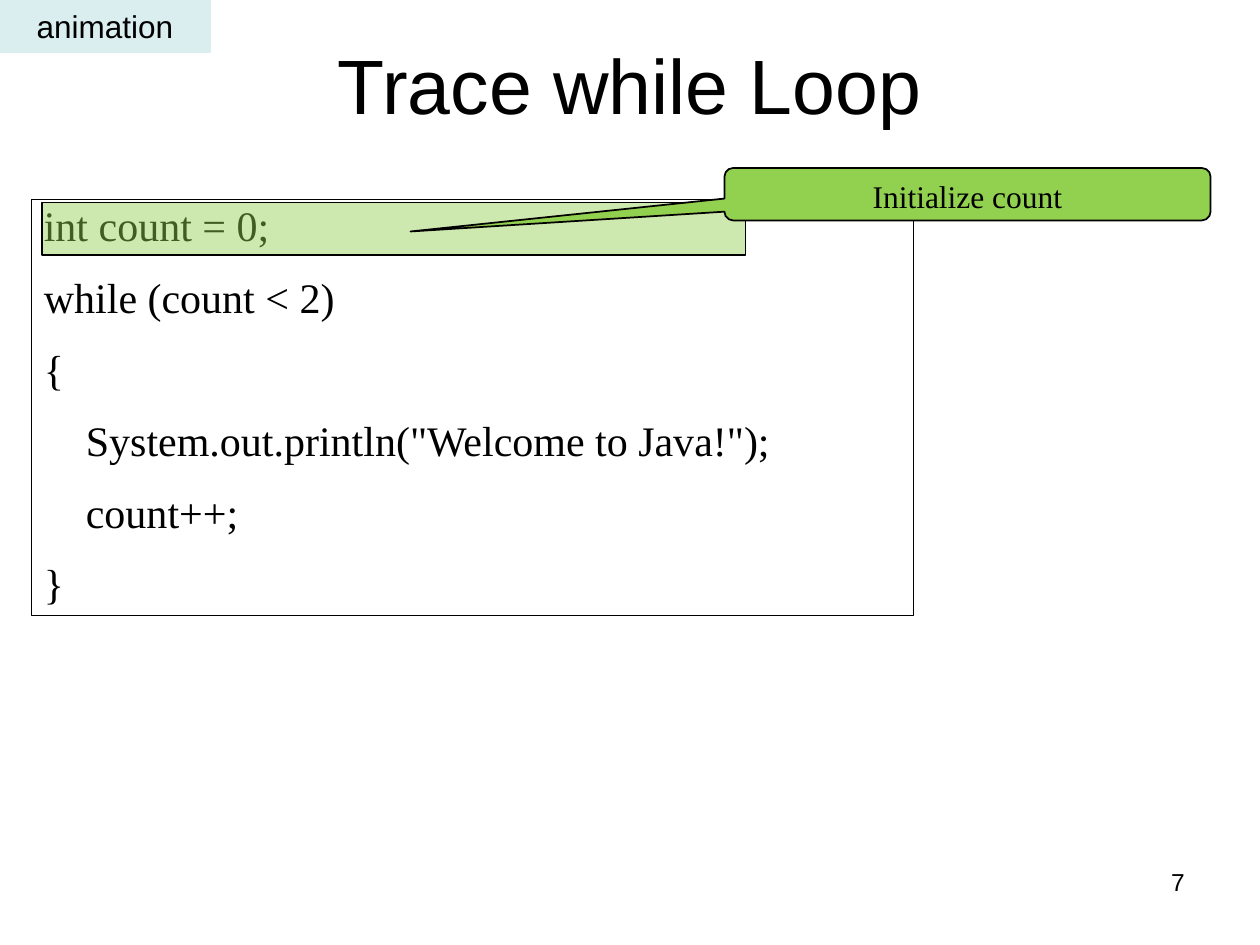
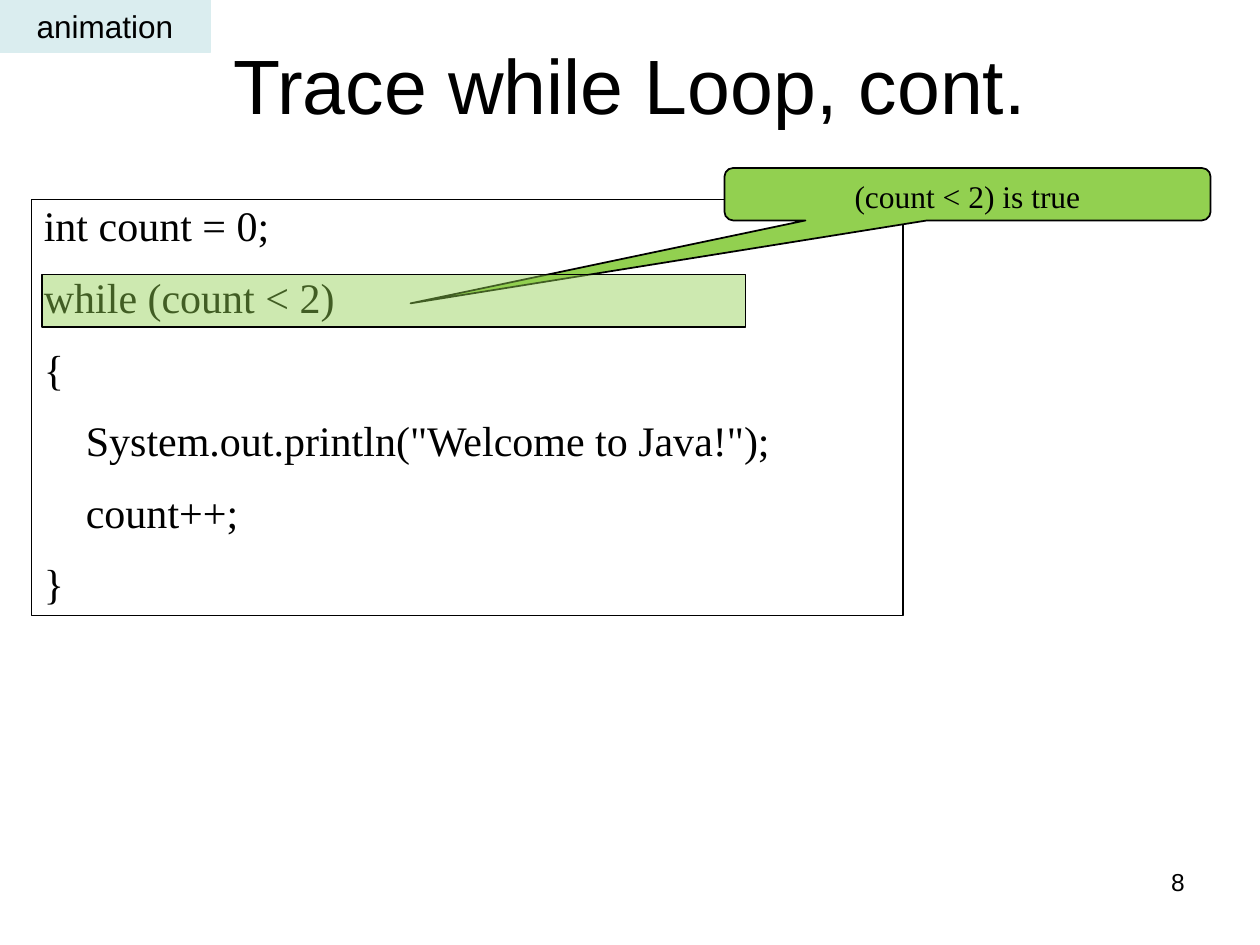
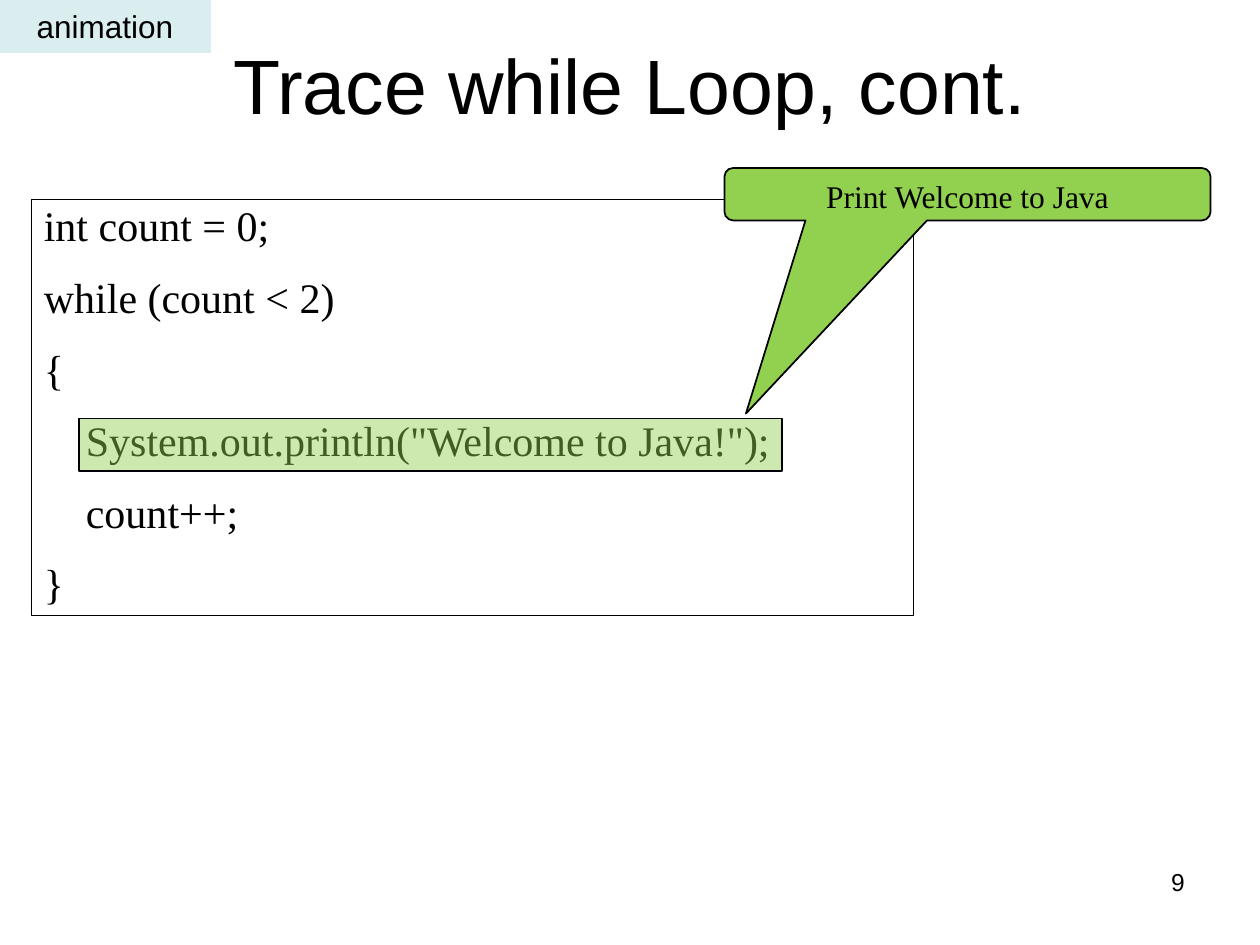
from lxml import etree
from pptx import Presentation
from pptx.dml.color import RGBColor
from pptx.enum.shapes import MSO_SHAPE
from pptx.enum.text import MSO_ANCHOR, MSO_AUTO_SIZE, PP_ALIGN
from pptx.oxml.ns import qn
from pptx.util import Inches, Pt

BLACK = RGBColor(0x00, 0x00, 0x00)
GREEN = RGBColor(0x92, 0xD0, 0x50)
PALE_BLUE = RGBColor(0xDA, 0xED, 0xEF)

SANS, SERIF = "Arial", "Times New Roman"

# The slide is a grid of 120 by 90 cells
SLIDE_WIDTH, SLIDE_HEIGHT = Inches(10), Inches(7.5)
CELL = SLIDE_WIDTH // 120

TITLE_AREA = (9, 3, 102, 10)
TAG_AREA = (0, 0, 20, 5)
PAGE_AREA = (86, 82, 28, 6.25)
CALLOUT_AREA = (69, 16, 46.3, 5)
CODE_LEFT, CODE_TOP, CODE_HEIGHT = 3, 19, 39.6
LINE_LEFT, LINE_TOP, LINE_WIDTH, LINE_HEIGHT = 4, 19.3, 67, 5
LINE_PITCH = 6.85
HIGHLIGHT_INDENT = 3.5
CODE_INDENT = Pt(24)

# Each code line with its indent level
CODE = [
    ("int count = 0;", 0),
    ("while (count < 2)", 0),
    ("{", 0),
    ('System.out.println("Welcome to Java!");', 1),
    ("count++;", 1),
    ("}", 0),
]

STEPS = [
    {"title": "Trace while Loop", "page": 7, "code_width": 84, "line": 0,
     "note": "Initialize count", "tip": (39.1, 22.05), "note_on_top": True},
    {"title": "Trace while Loop, cont.", "page": 8, "code_width": 83, "line": 1,
     "note": "(count < 2) is true", "tip": (39.1, 28.9), "note_on_top": False},
    {"title": "Trace while Loop, cont.", "page": 9, "code_width": 84, "line": 3,
     "note": "Print Welcome to Java", "tip": (71.05, 39.4), "note_on_top": False},
]


def cells(area):
    return [round(length * CELL) for length in area]


def write(paragraph, text, font, size, **layout):
    for name, value in layout.items():
        setattr(paragraph, name, value)
    run = paragraph.add_run()
    run.text = text
    for name, value in {"name": font, "size": Pt(size)}.items():
        setattr(run.font, name, value)
    run.font.color.rgb = BLACK


def add_label(slide, area, text, size, alignment, anchor=MSO_ANCHOR.TOP):
    frame = slide.shapes.add_textbox(*cells(area)).text_frame
    frame.word_wrap = True
    frame.vertical_anchor = anchor
    write(frame.paragraphs[0], text, SANS, size, alignment=alignment)


def add_block(slide, kind, area, fill=None, line=BLACK, weight=1):
    block = slide.shapes.add_shape(kind, *cells(area))
    block.shadow.inherit = False
    if fill is None:
        block.fill.background()
    else:
        block.fill.solid()
        block.fill.fore_color.rgb = fill
    block.line.color.rgb = line
    block.line.width = Pt(weight)
    return block


def add_tag(slide):
    tag = add_block(slide, MSO_SHAPE.RECTANGLE, TAG_AREA, PALE_BLUE, PALE_BLUE)
    frame = tag.text_frame
    frame.word_wrap = False
    frame.vertical_anchor = MSO_ANCHOR.MIDDLE
    write(frame.paragraphs[0], "animation", SANS, 18, alignment=PP_ALIGN.CENTER)


def add_code(slide, width):
    area = (CODE_LEFT, CODE_TOP, width, CODE_HEIGHT)
    frame = add_block(slide, MSO_SHAPE.RECTANGLE, area, weight=0.75).text_frame
    frame.word_wrap = True
    frame.auto_size = MSO_AUTO_SIZE.SHAPE_TO_FIT_TEXT
    frame.vertical_anchor = MSO_ANCHOR.TOP
    for index, (text, level) in enumerate(CODE):
        paragraph = frame.add_paragraph() if index else frame.paragraphs[0]
        write(paragraph, text, SERIF, 24, alignment=PP_ALIGN.LEFT,
              line_spacing=0.9, space_before=Pt(15))
        paragraph._p.get_or_add_pPr().set("marL", str(level * CODE_INDENT))


def add_highlight(slide, line):
    left = LINE_LEFT + CODE[line][1] * HIGHLIGHT_INDENT
    area = (left, LINE_TOP + line * LINE_PITCH, LINE_WIDTH, LINE_HEIGHT)
    highlight = add_block(slide, MSO_SHAPE.RECTANGLE, area, GREEN)
    # Let the code show through
    color = highlight.fill._xPr.find(qn("a:solidFill"))[0]
    etree.SubElement(color, qn("a:alpha")).set("val", "45000")


def add_callout(slide, text, tip):
    callout = add_block(slide, MSO_SHAPE.ROUNDED_RECTANGULAR_CALLOUT,
                        CALLOUT_AREA, GREEN)
    # The tip is measured from the callout's centre, in shares of its size
    left, top, width, height = CALLOUT_AREA
    callout.adjustments[0] = (tip[0] - left) / width - 0.5
    callout.adjustments[1] = (tip[1] - top) / height - 0.5
    frame = callout.text_frame
    frame.word_wrap = True
    frame.vertical_anchor = MSO_ANCHOR.TOP
    write(frame.paragraphs[0], text, SERIF, 18, alignment=PP_ALIGN.CENTER)


def add_step(deck, step):
    slide = deck.slides.add_slide(deck.slide_layouts[6])
    add_label(slide, TITLE_AREA, step["title"], 44, PP_ALIGN.CENTER,
              MSO_ANCHOR.MIDDLE)
    add_code(slide, step["code_width"])
    if step["note_on_top"]:
        add_highlight(slide, step["line"])
        add_callout(slide, step["note"], step["tip"])
    else:
        add_callout(slide, step["note"], step["tip"])
        add_highlight(slide, step["line"])
    add_tag(slide)
    add_label(slide, PAGE_AREA, str(step["page"]), 14, PP_ALIGN.RIGHT)


def main():
    deck = Presentation()
    deck.slide_width, deck.slide_height = SLIDE_WIDTH, SLIDE_HEIGHT
    for step in STEPS:
        add_step(deck, step)
    deck.save("out.pptx")


if __name__ == "__main__":
    main()
